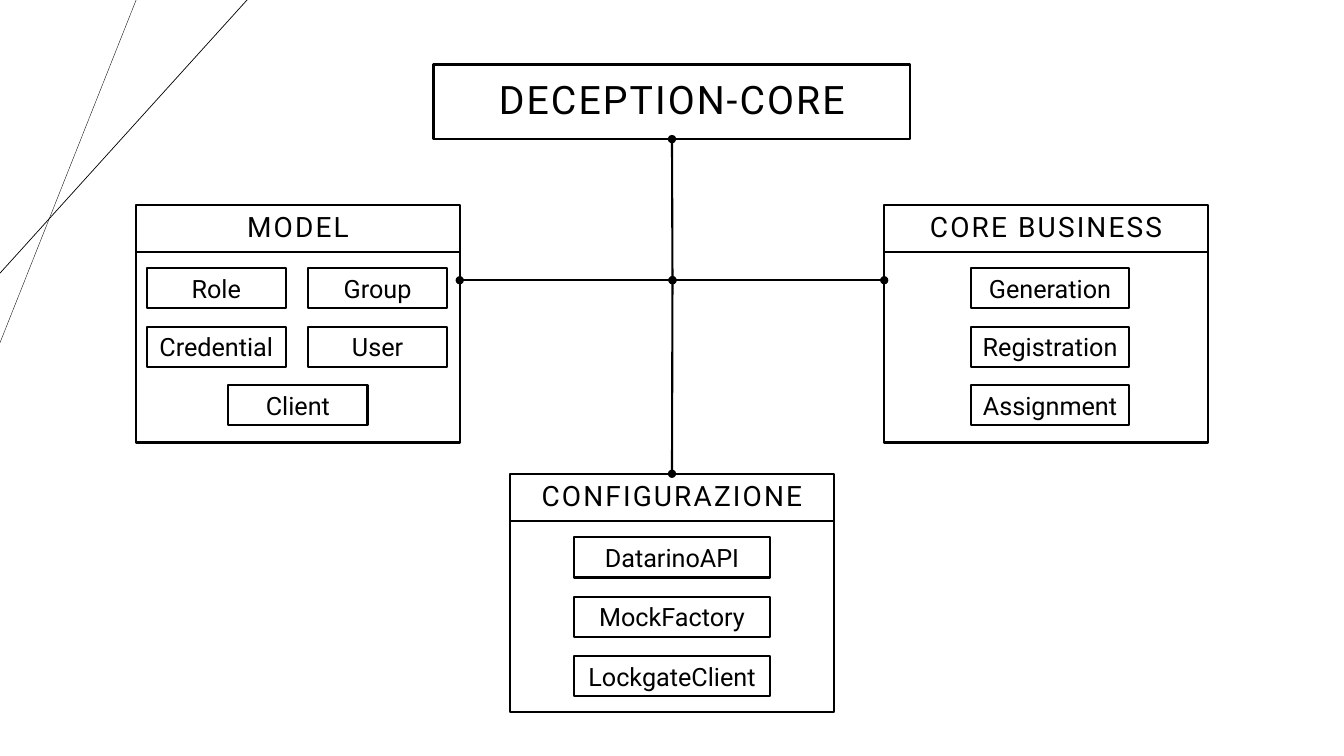
from lxml.etree import SubElement
from pptx import Presentation
from pptx.dml.color import RGBColor
from pptx.enum.shapes import MSO_CONNECTOR, MSO_SHAPE
from pptx.enum.text import MSO_ANCHOR, PP_ALIGN
from pptx.oxml.ns import qn
from pptx.util import Inches, Pt

BLACK = RGBColor(0, 0, 0)
FONT = "Roboto"
PANEL_WIDTH, HEADER_HEIGHT, BODY_HEIGHT = 3.21, 0.47, 1.89
ITEM_HEIGHT, FIRST_ITEM_OFFSET = 0.4, 0.63

deck = Presentation()
deck.slide_width = Inches(13.33)
deck.slide_height = Inches(7.5)
page = deck.slides.add_slide(deck.slide_layouts[6])


def add_box(left, top, width, height, text="", size=18, heading=False):
    box = page.shapes.add_shape(
        MSO_SHAPE.RECTANGLE, Inches(left), Inches(top), Inches(width), Inches(height)
    )
    box.shadow.inherit = False
    box.fill.background()
    box.line.color.rgb = BLACK
    box.line.width = Pt(1.5)
    if text:
        frame = box.text_frame
        frame.text = text
        frame.word_wrap = True
        frame.vertical_anchor = MSO_ANCHOR.MIDDLE
        frame.margin_left = frame.margin_right = 0
        frame.margin_top = frame.margin_bottom = 0
        para = frame.paragraphs[0]
        para.alignment = PP_ALIGN.CENTER
        span = para.runs[0]
        span.font.name = FONT
        span.font.size = Pt(size)
        span.font.color.rgb = BLACK
        if heading:
            para.line_spacing = 0.9
            span._r.get_or_add_rPr().set("spc", "150")
    return box


def add_line(start, end, weight, dots=False):
    line = page.shapes.add_connector(
        MSO_CONNECTOR.STRAIGHT, *[Inches(value) for value in (*start, *end)]
    )
    line.line.color.rgb = BLACK
    line.line.width = Pt(weight)
    if dots:
        outline = line.line._get_or_add_ln()
        for tag in ("a:headEnd", "a:tailEnd"):
            SubElement(outline, qn(tag)).set("type", "oval")
    SubElement(line._element.spPr, qn("a:effectLst"))
    return line


add_line((1.35, 0), (0, 3.4), 0.25)
add_line((2.45, 0), (0, 2.71), 0.5)

title = add_box(4.3, 0.64, 4.73, 0.74, "DECEPTION-CORE", 28, heading=True)

panels = [
    ("MODEL", 1.35, 2.03, 1.38, 0.58, [
        ("Role", -0.81, 0), ("Group", 0.79, 0),
        ("Credential", -0.81, 1), ("User", 0.79, 1),
        ("Client", 0, 2),
    ]),
    ("CORE BUSINESS", 8.77, 2.03, 1.56, 0.58, [
        ("Generation", 0.04, 0), ("Registration", 0.04, 1), ("Assignment", 0.04, 2),
    ]),
    ("CONFIGURAZIONE", 5.06, 4.7, 1.95, 0.59, [
        ("DatarinoAPI", 0, 0), ("MockFactory", 0, 1), ("LockgateClient", 0, 2),
    ]),
]

headers = {}
for name, left, top, item_width, pitch, items in panels:
    headers[name] = add_box(left, top, PANEL_WIDTH, HEADER_HEIGHT, name, 20, heading=True)
    add_box(left, top + HEADER_HEIGHT, PANEL_WIDTH, BODY_HEIGHT)
    for label, offset, row in items:
        item_left = left + (PANEL_WIDTH - item_width) / 2 + offset
        item_top = top + FIRST_ITEM_OFFSET + row * pitch
        add_box(item_left, item_top, item_width, ITEM_HEIGHT, label)

junction = (6.67, 2.78)
add_line((4.56, 2.78), (8.77, 2.78), 1.5, dots=True)
down = add_line(junction, (6.67, 4.7), 1.5, dots=True)
down.end_connect(headers["CONFIGURAZIONE"], 0)
up = add_line(junction, (6.67, 1.38), 1.5, dots=True)
up.end_connect(title, 2)

deck.save("out.pptx")
